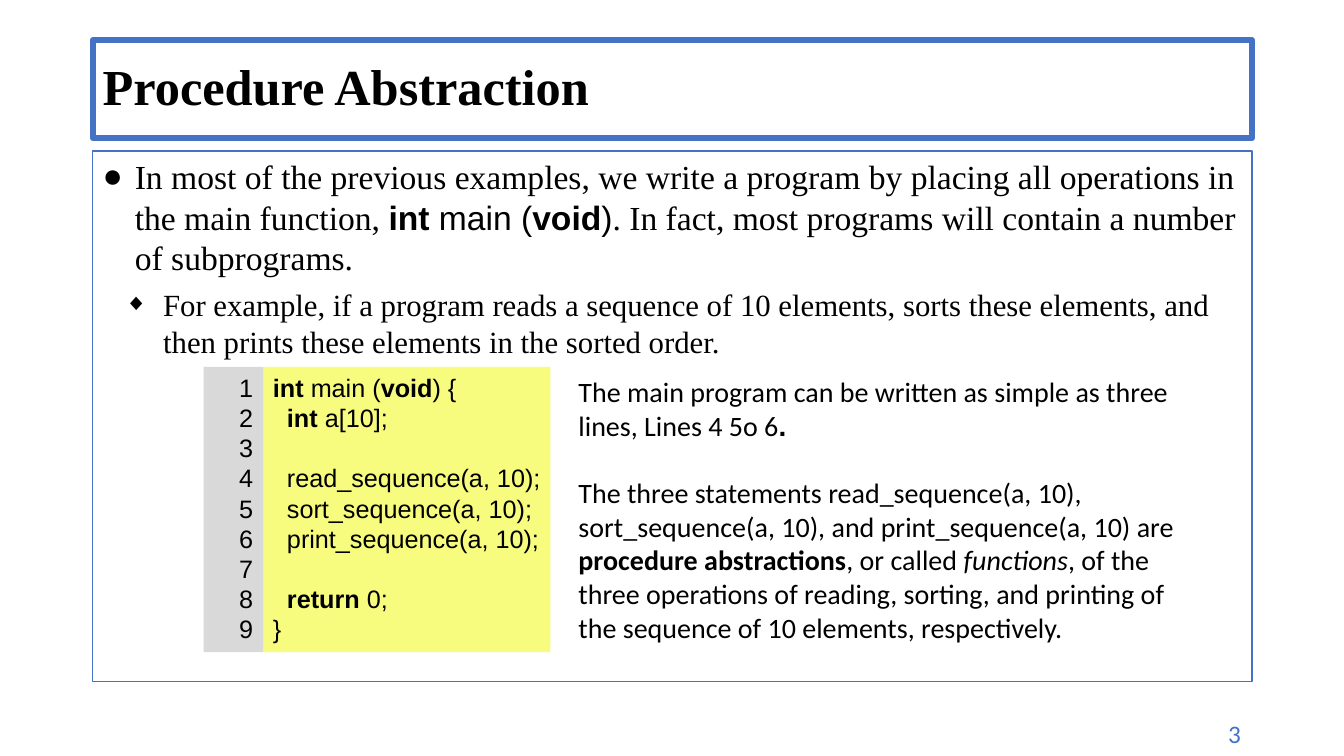
import pptx
import pptx.util
import pptx.dml.color
import pptx.enum.shapes
import pptx.enum.text
import lxml.etree

Pt = pptx.util.Pt
ALIGN = pptx.enum.text.PP_ALIGN
ANCHOR = pptx.enum.text.MSO_ANCHOR
BLUE, BLACK = "4472C4", "000000"
SERIF, SANS, BODY = "Times New Roman", "Arial", "Calibri"


def color(value):
    return pptx.dml.color.RGBColor.from_string(value)


def add_xml(parent, tag, **attributes):
    name = pptx.oxml.ns.qn("a:" + tag)
    return lxml.etree.SubElement(parent, name, **attributes)


class Page:
    def __init__(self, deck):
        self.slide = deck.slides.add_slide(deck.slide_layouts[6])

    def panel(self, left, top, width, height, fill=None, line=None, weight=1):
        box = self.slide.shapes.add_shape(
            pptx.enum.shapes.MSO_SHAPE.RECTANGLE,
            Pt(left), Pt(top), Pt(width), Pt(height))
        box.shadow.inherit = False
        if fill:
            box.fill.solid()
            box.fill.fore_color.rgb = color(fill)
        else:
            box.fill.background()
        if line:
            box.line.color.rgb = color(line)
            box.line.width = Pt(weight)
            add_xml(box.line._get_or_add_ln(), "round")
        else:
            box.line.fill.background()
        return self.frame(box)

    def label(self, left, top, width, height):
        return self.frame(self.slide.shapes.add_textbox(
            Pt(left), Pt(top), Pt(width), Pt(height)))

    def frame(self, box):
        frame = box.text_frame
        frame.word_wrap = True
        frame.vertical_anchor = ANCHOR.TOP
        return frame

    def para(self, frame, spans, size, font, ink=BLACK, align=ALIGN.LEFT,
             before=0, spacing=None, indent=0, hanging=0, bullet=None, scale=100):
        para = frame.paragraphs[0]
        if para.runs:
            para = frame.add_paragraph()
        para.alignment = align
        para.space_before = Pt(before)
        para.line_spacing = spacing or Pt(size * 1.2)
        properties = para._p.get_or_add_pPr()
        properties.set("marL", str(Pt(indent)))
        properties.set("indent", str(Pt(-hanging)))
        if bullet:
            add_xml(properties, "buSzPct", val=str(scale * 1000))
            add_xml(properties, "buFont", typeface=SANS)
            add_xml(properties, "buChar", char=bullet)
        for text, style, *other_font in spans:
            span = para.add_run()
            span.text = text
            span.font.name = other_font[0] if other_font else font
            span.font.size = Pt(size)
            span.font.bold = style == "bold"
            span.font.italic = style == "italic"
            span.font.color.rgb = color(ink)


deck = pptx.Presentation()
deck.slide_width, deck.slide_height = Pt(960), Pt(540)
page = Page(deck)

title = page.panel(66.24, 28.8, 828, 69.84, line=BLUE, weight=4.5)
title.vertical_anchor = ANCHOR.MIDDLE
page.para(title, [("Procedure Abstraction", "bold")], 36, SERIF, spacing=0.9)

body = page.panel(66.24, 108, 828, 378.72, line=BLUE)
page.para(body, [
    ("In most of the previous examples, we write a program by placing all "
     "operations in the main function, ", ""),
    ("int ", "bold", SANS), ("main (", "", SANS),
    ("void", "bold", SANS), (")", "", SANS),
    (". In fact, most programs will contain a number of subprograms.", ""),
], 24, SERIF, before=6, indent=23, hanging=23, bullet="●")
page.para(body, [
    ("For example, if a program reads a sequence of 10 elements, sorts these "
     "elements, and then prints these elements in the sorted order.", ""),
], 22, SERIF, before=6, indent=43.2, hanging=27.4, bullet="◆", scale=75)

code_size = 18
code_line = code_size * 1.2
code_top, code_height = 262.08, 203.76
listing = [
    (0, [("int ", "bold"), ("main (", ""), ("void", "bold"), (") {", "")]),
    (1, [("int ", "bold"), ("a[10];", "")]),
    None,
    (1, [("read_sequence(a, 10);", "")]),
    (1, [("sort_sequence(a, 10);", "")]),
    (1, [("print_sequence(a, 10);", "")]),
    None,
    (1, [("return ", "bold"), ("0;", "")]),
    (0, [("}", "")]),
]
code = page.panel(187.92, code_top, 205.2, code_height, fill="F7FC7E")
code.margin_right = 0
numbers = page.panel(145.44, code_top, 42.48, code_height, fill="D9D9D9")
gap = 0
for number, line in enumerate(listing, 1):
    page.para(numbers, [(str(number), "")], code_size, SANS, align=ALIGN.RIGHT)
    if line is None:
        gap += code_line
        continue
    depth, spans = line
    page.para(code, spans, code_size, SANS, before=gap, indent=depth * 10)
    gap = 0

remarks = page.label(406.08, 264.24, 452.88, 200.88)
page.para(remarks, [
    ("The main program can be written as simple as three lines, Lines 4 5o 6", ""),
    (".", "bold", SANS),
], 20, BODY)
page.para(remarks, [
    ("The three statements read_sequence(a, 10), sort_sequence(a, 10), and "
     "print_sequence(a, 10) are ", ""),
    ("procedure abstractions", "bold"),
    (", or called ", ""),
    ("functions", "italic"),
    (", of the three operations of reading, sorting, and printing of the "
     "sequence of 10 elements, respectively.", ""),
], 20, BODY, before=24)

page_number = page.label(780.48, 509.76, 113.04, 28.8)
page.para(page_number, [("3", "")], 18, BODY, ink=BLUE, align=ALIGN.RIGHT)

deck.save("out.pptx")
